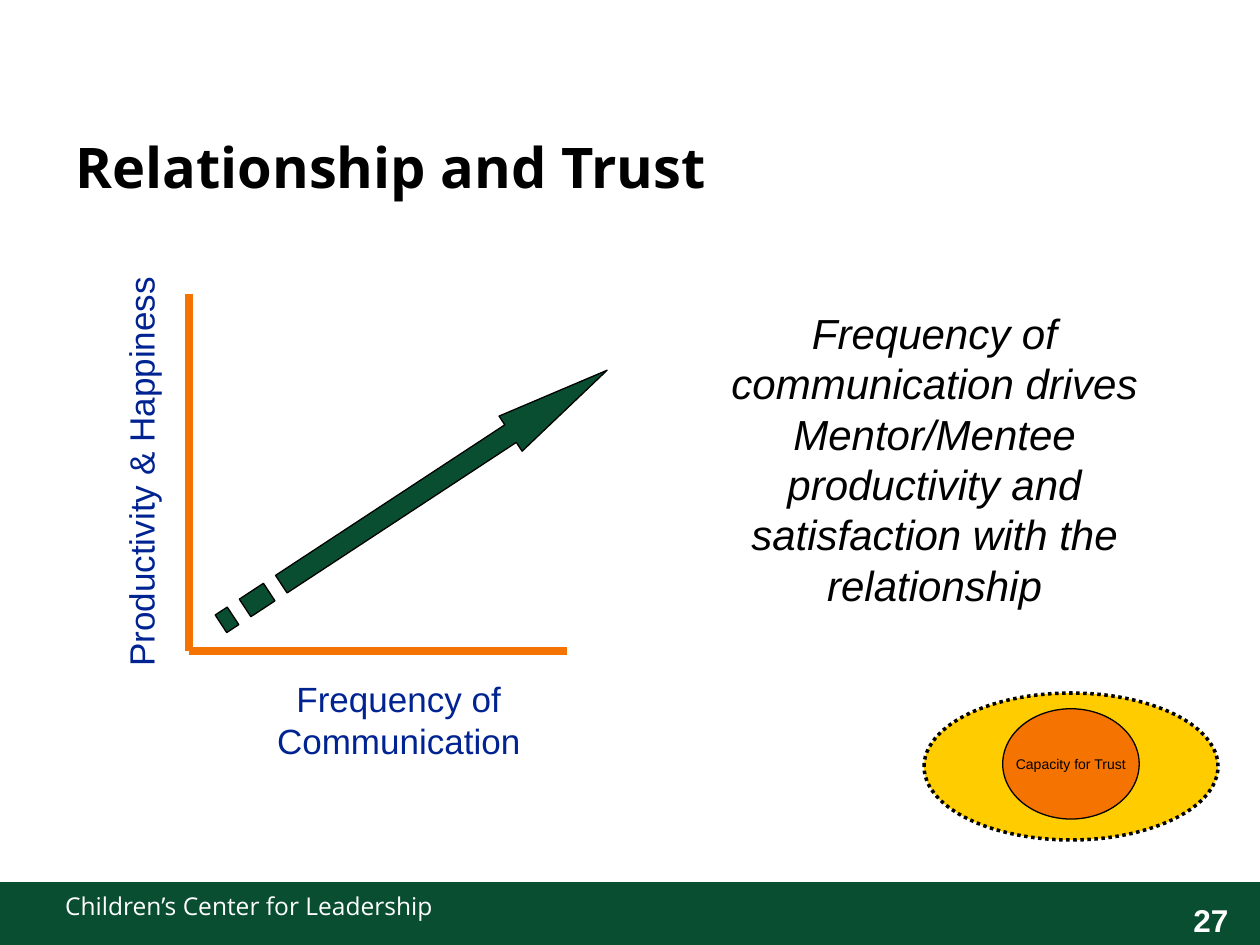
from lxml.etree import SubElement
from pptx import Presentation
from pptx.dml.color import RGBColor
from pptx.enum.dml import MSO_LINE
from pptx.enum.shapes import MSO_CONNECTOR, MSO_SHAPE
from pptx.enum.text import MSO_ANCHOR, PP_ALIGN
from pptx.oxml.ns import qn
from pptx.util import Pt

COLORS = {
    "green": "0A4E31",
    "orange": "F57300",
    "yellow": "FFCC00",
    "blue": "002392",
    "black": "000000",
    "white": "FFFFFF",
}


def write(shape, text, color, align, anchor, wrap, font):
    frame = shape.text_frame
    frame.word_wrap = wrap
    frame.vertical_anchor = anchor
    para = frame.paragraphs[0]
    para.alignment = align
    span = para.add_run()
    span.text = text
    span.font.color.rgb = RGBColor.from_string(COLORS[color])
    for name, value in font.items():
        setattr(span.font, name, value)


def paint(shape, fill, line_width=0):
    shape.shadow.inherit = False
    shape.fill.solid()
    shape.fill.fore_color.rgb = RGBColor.from_string(COLORS[fill])
    if line_width:
        shape.line.color.rgb = RGBColor.from_string(COLORS["black"])
        shape.line.width = Pt(line_width)
    else:
        shape.line.fill.background()


deck = Presentation()
deck.slide_width, deck.slide_height = Pt(720), Pt(540)
page = deck.slides.add_slide(deck.slide_layouts[6])
shapes = page.shapes

footer_band = shapes.add_shape(MSO_SHAPE.RECTANGLE, Pt(0), Pt(504), Pt(720), Pt(39.6))
paint(footer_band, "green")

left, center = PP_ALIGN.LEFT, PP_ALIGN.CENTER
labels = [
    ("27", (663.8, 511.2, 56.2, 28.8), 0, "white", center,
     {"name": "Arial", "size": Pt(18), "bold": True}),
    ("Children’s Center for Leadership", (30.2, 505.4, 568.8, 36), 0, "white", left,
     {"name": "Open Sans", "size": Pt(14)}),
    ("Relationship and Trust", (36, 72, 564.5, 72), 0, "black", left,
     {"name": "Open Sans", "size": Pt(32), "bold": True}),
    ("Frequency of communication drives Mentor/Mentee productivity and "
     "satisfaction with the relationship", (396, 172, 276, 181.4), 0, "black", center,
     {"name": "Arial", "size": Pt(24), "italic": True}),
    ("Productivity & Happiness", (-57.6, 254.2, 275.8, 31), 270, "blue", center,
     {"name": "Arial", "size": Pt(20)}),
    ("Frequency of Communication", (126, 383.8, 203.8, 55.4), 0, "blue", center,
     {"name": "Arial", "size": Pt(20)}),
]
for text, place, rotation, color, align, font in labels:
    box = shapes.add_textbox(*map(Pt, place))
    box.rotation = rotation
    write(box, text, color, align, MSO_ANCHOR.TOP, True, font)

for start_x, start_y in [(108, 168), (324, 372)]:
    axis = shapes.add_connector(
        MSO_CONNECTOR.STRAIGHT, Pt(start_x), Pt(start_y), Pt(108), Pt(372))
    axis.line.color.rgb = RGBColor.from_string(COLORS["orange"])
    axis.line.width = Pt(5)
    SubElement(axis._element.spPr, qn("a:effectLst"))

stripe = 8.25
head = 24 * stripe
arrow_parts = [
    [(5 * stripe, 6), (head, 6), (head, 0), (32 * stripe, 12),
     (head, 24), (head, 18), (5 * stripe, 18)],
]
for start, end in [(2 * stripe, 4 * stripe), (0, stripe)]:
    arrow_parts.append([(start, 6), (end, 6), (end, 18), (start, 18)])

builder = None
for part in arrow_parts:
    points = [(x * 100, y * 100) for x, y in part]
    if builder is None:
        builder = shapes.build_freeform(*points[0], scale=Pt(1) / 100)
    else:
        builder.move_to(*points[0])
    builder.add_line_segments(points[1:], close=True)
arrow = builder.convert_to_shape(Pt(104.6), Pt(272))
arrow.rotation = 326.7
paint(arrow, "green", 0.75)

outer_oval = shapes.add_shape(MSO_SHAPE.OVAL, Pt(528), Pt(396), Pt(168), Pt(84))
paint(outer_oval, "yellow", 2)
outer_oval.line.dash_style = MSO_LINE.ROUND_DOT

trust_oval = shapes.add_shape(MSO_SHAPE.OVAL, Pt(573), Pt(405), Pt(78), Pt(63))
paint(trust_oval, "orange", 0.75)
write(trust_oval, "Capacity for Trust", "black", center, MSO_ANCHOR.MIDDLE, False,
      {"name": "Arial", "size": Pt(8)})

deck.save("out.pptx")
